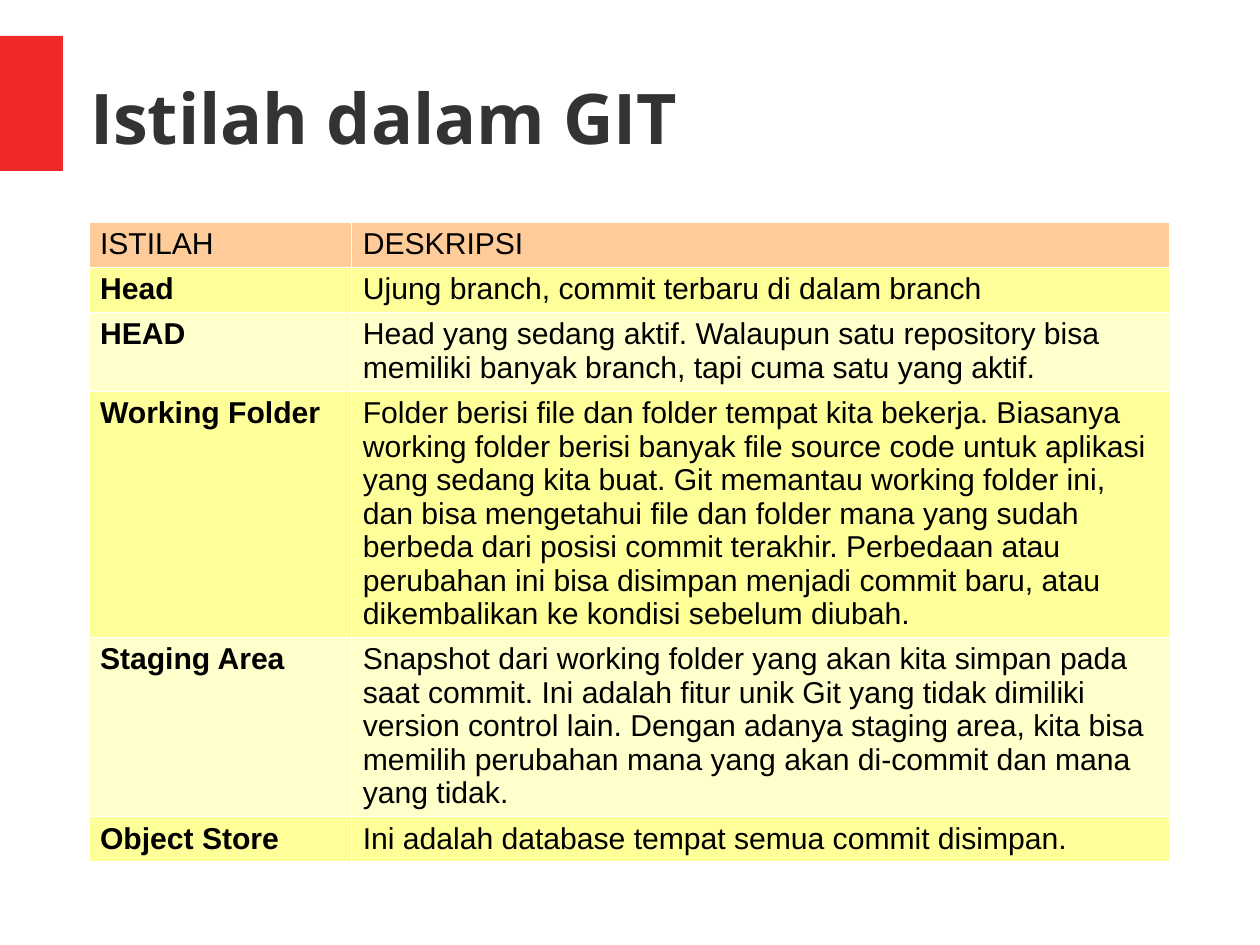
import lxml.etree
import pptx
import pptx.dml.color
import pptx.enum.shapes
import pptx.enum.text
import pptx.oxml.ns
import pptx.util
from pptx.util import Cm

TERMS = [
    ("ISTILAH", "DESKRIPSI", 1),
    ("Head", "Ujung branch, commit terbaru di dalam branch", 1),
    ("HEAD", "Head yang sedang aktif. Walaupun satu repository bisa memiliki banyak "
     "branch, tapi cuma satu yang aktif.", 1.75),
    ("Working Folder", "Folder berisi file dan folder tempat kita bekerja. Biasanya "
     "working folder berisi banyak file source code untuk aplikasi yang sedang kita "
     "buat. Git memantau working folder ini, dan bisa mengetahui file dan folder mana "
     "yang sudah berbeda dari posisi commit terakhir. Perbedaan atau perubahan ini bisa "
     "disimpan menjadi commit baru, atau dikembalikan ke kondisi sebelum diubah.", 5.46),
    ("Staging Area", "Snapshot dari working folder yang akan kita simpan pada saat "
     "commit. Ini adalah fitur unik Git yang tidak dimiliki version control lain. Dengan "
     "adanya staging area, kita bisa memilih perubahan mana yang akan di-commit dan mana "
     "yang tidak.", 3.99),
    ("Object Store", "Ini adalah database tempat semua commit disimpan.", 1),
]
HEADER_FILL = "FFCC99"
BAND_FILLS = ("FFFFCC", "FFFF99")


def color(hex_code):
    """Turn a hex string into a colour."""
    return pptx.dml.color.RGBColor.from_string(hex_code)


def add_accent(slide, left, top, width, height):
    """Place the red block at the slide's edge."""
    accent = slide.shapes.add_shape(
        pptx.enum.shapes.MSO_SHAPE.RECTANGLE, left, top, width, height)
    accent.shadow.inherit = False
    accent.fill.solid()
    accent.fill.fore_color.rgb = color("EF2929")
    accent.line.fill.background()


def set_heading(slide, left, top, width, height):
    """Fill and place the title placeholder."""
    heading = slide.shapes.title
    heading.left, heading.top, heading.width, heading.height = left, top, width, height
    frame = heading.text_frame
    frame.text = "Istilah dalam GIT"
    frame.word_wrap = True
    frame.auto_size = pptx.enum.text.MSO_AUTO_SIZE.NONE
    frame.vertical_anchor = pptx.enum.text.MSO_ANCHOR.MIDDLE
    frame.margin_left = frame.margin_right = frame.margin_top = frame.margin_bottom = 0
    paragraph = frame.paragraphs[0]
    paragraph.alignment = pptx.enum.text.PP_ALIGN.LEFT
    paragraph.font.name = "Open Sans"
    paragraph.font.size = pptx.util.Pt(44)
    paragraph.font.bold = True
    paragraph.font.color.rgb = color("333333")


def add_borders(cell, hex_code, width):
    """Draw a thin line on all four sides of a cell."""
    properties = cell._tc.get_or_add_tcPr()
    qn = pptx.oxml.ns.qn
    for position, side in enumerate(("a:lnL", "a:lnR", "a:lnT", "a:lnB")):
        border = lxml.etree.Element(qn(side), w=str(int(width)))
        fill = lxml.etree.SubElement(border, qn("a:solidFill"))
        lxml.etree.SubElement(fill, qn("a:srgbClr"), val=hex_code)
        properties.insert(position, border)


def fill_cell(cell, text, fill, bold):
    """Write and format one glossary cell."""
    cell.text = text
    cell.fill.solid()
    cell.fill.fore_color.rgb = color(fill)
    font = cell.text_frame.paragraphs[0].font
    font.name = "Arial"
    font.size = pptx.util.Pt(19)
    font.bold = bold
    font.color.rgb = color("000000")
    add_borders(cell, "FFFFFF", pptx.util.Pt(0.06))


def add_glossary(slide, left, top, width, height):
    """Place the table of terms and descriptions."""
    glossary = slide.shapes.add_table(len(TERMS), 2, left, top, width, height).table
    term_width = Cm(5.84)
    glossary.columns[0].width = term_width
    glossary.columns[1].width = width - term_width
    for index, (term, description, row_height) in enumerate(TERMS):
        glossary.rows[index].height = Cm(row_height)
        fill = BAND_FILLS[index % 2] if index else HEADER_FILL
        fill_cell(glossary.cell(index, 0), term, fill, index > 0)
        fill_cell(glossary.cell(index, 1), description, fill, False)


def main():
    """Build the slide of Git terms."""
    presentation = pptx.Presentation()
    presentation.slide_width = Cm(28)
    presentation.slide_height = Cm(21)
    slide = presentation.slides.add_slide(presentation.slide_layouts[5])
    add_accent(slide, 0, Cm(0.8), Cm(1.4), Cm(3))
    set_heading(slide, Cm(2), Cm(0.84), Cm(24.6), Cm(3.5))
    add_glossary(slide, Cm(1.97), Cm(4.93), Cm(24), Cm(14.2))
    presentation.save("out.pptx")


if __name__ == "__main__":
    main()
